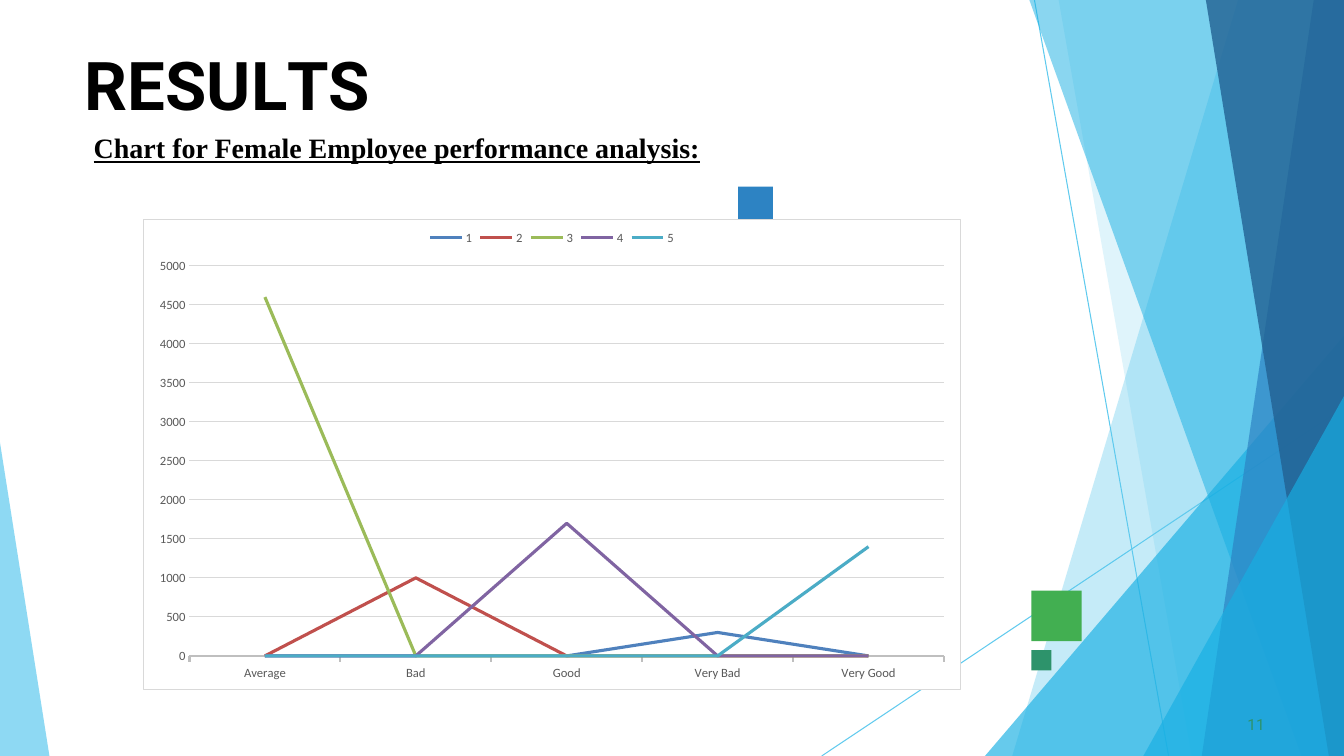
"""Build the results slide with the chart of female employee performance."""
from lxml import etree
from pptx import Presentation, util as u
from pptx.chart.data import CategoryChartData
from pptx.dml.color import RGBColor
from pptx.enum import chart as ch, shapes, text
from pptx.oxml import parse_xml
from pptx.oxml.ns import nsdecls, qn

WIDTH, HEIGHT = u.Inches(13.33), u.Inches(7.5)
BLACK, WHITE = RGBColor(0, 0, 0), RGBColor(255, 255, 255)
SKY, CYAN = RGBColor(0x5F, 0xCA, 0xEE), RGBColor(0x17, 0xAF, 0xE3)
BLUE, NAVY = RGBColor(0x2D, 0x83, 0xC3), RGBColor(0x22, 0x61, 0x92)
GREEN, TEAL = RGBColor(0x42, 0xAF, 0x51), RGBColor(0x2D, 0x93, 0x6B)
GREY, SILVER, PALE = (RGBColor(v, v, v) for v in (0x59, 0xBF, 0xD9))

# Positions below are percentages of the slide's width and height.
TITLE = [("R", 0), ("E", -0.4), ("S", 0.1), ("U", -0.3), ("L", -4), ("TS", 0)]
TITLE_AREA = (6.23, 5.6, 87.62, 11.07)
SUBTITLE = "Chart for Female Employee performance analysis:"
SUBTITLE_AREA = (6.23, 16.67, 48.76, 5.87)
NUMBER_AREA = (92.5, 94.4, 1.88, 2.8)
CHART_AREA = (10.65, 28.93, 60.84, 62.4)
RAYS = [((76.97, 0), (86.95, 100)), ((100, 53.87), (61.14, 100))]
FACETS = [
    (100, (92.12, 0), 75.32, SKY, 36),
    (100, (78.77, 0), 88.67, SKY, 20),
    (100, (100, 44.4), 73.29, CYAN, 66),
    (100, (76.59, 0), 96.85, CYAN, 50),
    (100, (97.75, 0), 89.42, BLUE, 70),
    (100, (89.72, 0), 98.87, NAVY, 80),
    (100, (100, 52.4), 85.07, CYAN, 66),
    (0, (0, 58.53), 3.68, SKY, 70),
]
SQUARES = [
    ((76.74, 78.13, 3.75, 6.67), GREEN),
    ((54.91, 24.67, 2.59, 4.73), BLUE),
    ((76.74, 86, 1.5, 2.67), TEAL),
]
RATINGS = ["Average", "Bad", "Good", "Very Bad", "Very Good"]
SERIES = [
    ("1", (0, 0, 0, 300, 0), RGBColor(0x4F, 0x81, 0xBD)),
    ("2", (0, 1000, 0, 0, 0), RGBColor(0xC0, 0x50, 0x4D)),
    ("3", (4600, 0, 0, 0, 0), RGBColor(0x9B, 0xBB, 0x59)),
    ("4", (0, 0, 1700, 0, 0), RGBColor(0x80, 0x64, 0xA2)),
    ("5", (0, 0, 0, 0, 1400), RGBColor(0x4B, 0xAC, 0xC6)),
]


def point(x, y):
    return int(WIDTH * x / 100), int(HEIGHT * y / 100)


def area(left, top, width, height):
    return (*point(left, top), *point(width, height))


def write(box, spans, font, size, color, bold=False, underline=False,
          inset=None, indent=0, before=0):
    frame = box.text_frame
    frame.word_wrap = True
    frame.auto_size = text.MSO_AUTO_SIZE.SHAPE_TO_FIT_TEXT
    frame.vertical_anchor = text.MSO_ANCHOR.TOP
    if inset is not None:
        frame.margin_left = frame.margin_right = frame.margin_bottom = 0
        frame.margin_top = u.Inches(inset)
    para = frame.paragraphs[0]
    para.alignment = text.PP_ALIGN.LEFT
    para.space_before = u.Pt(before)
    props = para._p.get_or_add_pPr()
    props.set("marL", str(u.Inches(indent)))
    props.set("indent", "0")
    for words, spacing in spans:
        span = para.add_run()
        span.text = words
        span.font.name, span.font.size = font, u.Pt(size)
        span.font.bold, span.font.underline = bold, underline
        span.font.color.rgb = color
        span._r.get_or_add_rPr().set("spc", str(round(spacing * 100)))


def paint(shape, color, opacity=100):
    shape.shadow.inherit = False
    shape.fill.solid()
    shape.fill.fore_color.rgb = color
    shape.line.fill.background()
    if opacity < 100:
        tint = shape._element.spPr.find(".//" + qn("a:srgbClr"))
        etree.SubElement(tint, qn("a:alpha")).set("val", str(opacity * 1000))


def draw_backdrop(page):
    for start, end in RAYS:
        ray = page.shapes.add_connector(
            shapes.MSO_CONNECTOR.STRAIGHT, *point(*start), *point(*end))
        ray.line.color.rgb, ray.line.width = SKY, u.Pt(0.75)
        etree.SubElement(ray._element.spPr, qn("a:effectLst"))
    for edge, (x, y), foot, color, opacity in FACETS:
        outline = page.shapes.build_freeform(*point(edge, y))
        corners = [point(x, y), point(foot, 100), point(edge, 100)]
        outline.add_line_segments(corners, close=True)
        paint(outline.convert_to_shape(), color, opacity)
    for place, color in SQUARES:
        square = page.shapes.add_shape(shapes.MSO_SHAPE.RECTANGLE, *area(*place))
        paint(square, color)


def style_font(font, size, color):
    font.name, font.size, font.color.rgb = "Calibri", u.Pt(size), color


def draw_chart(page):
    data = CategoryChartData()
    data.categories = RATINGS
    for name, values, _ in SERIES:
        data.add_series(name, values)
    chart = page.shapes.add_chart(
        ch.XL_CHART_TYPE.LINE, *area(*CHART_AREA), data).chart
    chart.has_title = False
    style_font(chart.font, 10, BLACK)
    chart.plots[0].vary_by_categories = False
    for series, (_, _, color) in zip(chart.plots[0].series, SERIES):
        series.smooth = False
        series.marker.style = ch.XL_MARKER_STYLE.NONE
        series.format.line.color.rgb = color
        series.format.line.width = u.Pt(2.25)

    chart.has_legend = True
    chart.legend.position = ch.XL_LEGEND_POSITION.TOP
    chart.legend.include_in_layout = False
    for part in (chart.legend.font, chart.category_axis.tick_labels.font,
                 chart.value_axis.tick_labels.font):
        style_font(part, 9, GREY)
    ratings, amounts = chart.category_axis, chart.value_axis
    ratings.major_tick_mark = ch.XL_TICK_MARK.OUTSIDE
    ratings.format.line.color.rgb = SILVER
    ratings.format.line.width = u.Pt(1.5)
    amounts.minimum_scale, amounts.maximum_scale, amounts.major_unit = 0, 5000, 500
    amounts.major_tick_mark = ch.XL_TICK_MARK.NONE
    amounts.format.line.fill.background()
    amounts.major_gridlines.format.line.color.rgb = PALE
    amounts.major_gridlines.format.line.width = u.Pt(0.75)

    frame = parse_xml(
        f'<c:spPr {nsdecls("c", "a")}>'
        f'<a:solidFill><a:srgbClr val="{WHITE}"/></a:solidFill>'
        f'<a:ln w="{u.Pt(0.75)}"><a:solidFill><a:srgbClr val="{PALE}"/>'
        '</a:solidFill></a:ln></c:spPr>')
    chart._chartSpace.find(qn("c:chart")).addnext(frame)


def main():
    deck = Presentation()
    deck.slide_width, deck.slide_height = WIDTH, HEIGHT
    page = deck.slides.add_slide(deck.slide_layouts[5])
    draw_backdrop(page)
    title = page.shapes.title
    title.left, title.top, title.width, title.height = area(*TITLE_AREA)
    write(title, TITLE, "Roboto", 48, BLACK, bold=True,
          inset=0.01, indent=0.01, before=1.1)
    number = page.shapes.add_textbox(*area(*NUMBER_AREA))
    write(number, [("11", 0.1)], "Roboto", 11, TEAL,
          inset=0.01, indent=0.04, before=0.6)
    subtitle = page.shapes.add_textbox(*area(*SUBTITLE_AREA))
    write(subtitle, [(SUBTITLE, 0)], "Times New Roman", 20, BLACK,
          bold=True, underline=True)
    draw_chart(page)
    deck.save("out.pptx")


if __name__ == "__main__":
    main()
